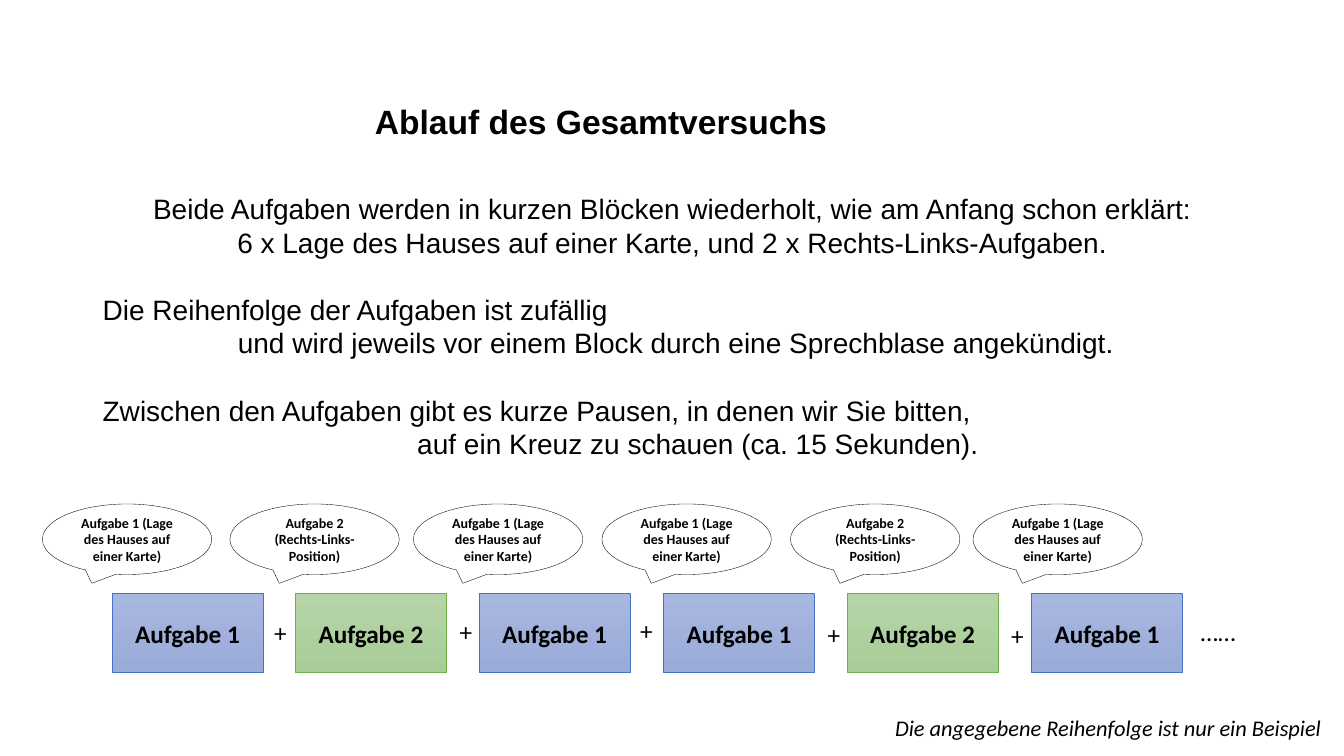
"""Build the slide that explains the order of the tasks in the experiment."""
from typing import NamedTuple

from pptx import Presentation
from pptx import util as u
from pptx.dml.color import RGBColor
from pptx.enum import shapes, text

PX = 9144
CENTER = text.PP_ALIGN.CENTER
LEFT = text.PP_ALIGN.LEFT


class Task(NamedTuple):
    """A kind of task with its bubble text and colours."""

    name: str
    announcement: str
    top_color: str
    bottom_color: str
    line_color: str


class Step(NamedTuple):
    """One block in the sequence, with its speech bubble."""

    task: Task
    bubble_left: int


class Label(NamedTuple):
    """A short text between or after the blocks."""

    content: str
    left: int
    top: int
    width: int


class Statement(NamedTuple):
    """A body paragraph; hanging is the indent of its second line."""

    content: str
    align: text.PP_ALIGN
    hanging: int


MAP_TASK = Task("Aufgabe 1", "Aufgabe 1 (Lage des Hauses auf einer Karte)", "A8B7DF", "9AABD9", "4472C4")
SIDE_TASK = Task("Aufgabe 2", "Aufgabe 2 (Rechts-Links-Position)", "B5D4A7", "A9CD99", "70AD47")

STEPS = [
    Step(MAP_TASK, 42),
    Step(SIDE_TASK, 228),
    Step(MAP_TASK, 410),
    Step(MAP_TASK, 597),
    Step(SIDE_TASK, 784),
    Step(MAP_TASK, 965),
]

LABELS = [
    Label("+", 262, 608, 31),
    Label("+", 446, 607, 31),
    Label("+", 625, 606, 31),
    Label("+", 811, 609, 31),
    Label("+", 993, 610, 31),
    Label("……", 1181, 607, 92),
]

STATEMENTS = [
    Statement(
        "Beide Aufgaben werden in kurzen Blöcken wiederholt, wie am Anfang schon erklärt:\n"
        "6 x Lage des Hauses auf einer Karte, und 2 x Rechts-Links-Aufgaben.",
        CENTER, 0,
    ),
    Statement(
        "Die Reihenfolge der Aufgaben ist zufällig\n"
        "und wird jeweils vor einem Block durch eine Sprechblase angekündigt.",
        LEFT, 134,
    ),
    Statement(
        "Zwischen den Aufgaben gibt es kurze Pausen, in denen wir Sie bitten,\n"
        "auf ein Kreuz zu schauen (ca. 15 Sekunden).",
        LEFT, 312,
    ),
]


def px(*lengths: int) -> list[int]:
    """Turn px into EMU."""
    return [length * PX for length in lengths]


def color(value: str) -> RGBColor:
    """Turn a hex string into a colour."""
    return RGBColor.from_string(value)


def write(paragraph, content: str, *, size: int, font: str = "Calibri", bold: bool = False,
          italic: bool = False, align: text.PP_ALIGN = LEFT) -> None:
    """Fill a paragraph with formatted text."""
    paragraph.text = content
    paragraph.alignment = align
    for run in paragraph.runs:
        run.font.size = u.Pt(size)
        run.font.name = font
        run.font.bold = bold
        run.font.italic = italic
        run.font.color.rgb = color("000000")


def add_box(slide, left: int, top: int, width: int, height: int, wrap: bool = True):
    """Add a text box and return its text frame."""
    frame = slide.shapes.add_textbox(*px(left, top, width, height)).text_frame
    frame.word_wrap = wrap
    return frame


def add_figure(slide, kind: shapes.MSO_SHAPE, left: int, top: int, width: int, height: int,
               content: str, size: int, line_color: str, line_width: float):
    """Add an outlined shape with centred bold text."""
    shape = slide.shapes.add_shape(kind, *px(left, top, width, height))
    shape.shadow.inherit = False
    shape.line.color.rgb = color(line_color)
    shape.line.width = u.Pt(line_width)
    shape.text_frame.word_wrap = True
    shape.text_frame.vertical_anchor = text.MSO_ANCHOR.MIDDLE
    write(shape.text_frame.paragraphs[0], content, size=size, bold=True, align=CENTER)
    return shape


def add_title(slide) -> None:
    """Place and format the title."""
    title = slide.shapes.title
    title.left, title.top, title.width, title.height = px(81, 95, 1030, 50)
    title.text_frame.vertical_anchor = text.MSO_ANCHOR.MIDDLE
    write(title.text_frame.paragraphs[0], "Ablauf des Gesamtversuchs", size=24, font="Arial",
          bold=True, align=CENTER)


def add_statements(slide) -> None:
    """Add the explanation above the sequence."""
    frame = add_box(slide, 92, 185, 1150, 538)
    for index, statement in enumerate(STATEMENTS):
        paragraph = frame.add_paragraph() if index else frame.paragraphs[0]
        write(paragraph, statement.content, size=20, font="Arial", align=statement.align)
        paragraph.line_spacing = u.Pt(24)
        if index:
            paragraph.space_before = u.Pt(24)
        if statement.hanging:
            properties = paragraph._p.get_or_add_pPr()
            properties.set("marL", str(statement.hanging * PX))
            properties.set("indent", str(-statement.hanging * PX))


def add_sequence(slide) -> None:
    """Add the blocks, their bubbles and the signs between them."""
    for index, (task, bubble_left) in enumerate(STEPS):
        block = add_figure(slide, shapes.MSO_SHAPE.RECTANGLE, 111 + index * 912 // 5, 589, 150, 78,
                           task.name, 18, task.line_color, 0.5)
        block.fill.gradient()
        block.fill.gradient_angle = 270
        for stop, value in zip(block.fill.gradient_stops, (task.top_color, task.bottom_color)):
            stop.color.rgb = color(value)
        bubble = add_figure(slide, shapes.MSO_SHAPE.OVAL_CALLOUT, bubble_left, 500, 168, 70,
                            task.announcement, 10, "000000", 0.25)
        bubble.fill.solid()
        bubble.fill.fore_color.rgb = color("FFFFFF")
    for label in LABELS:
        frame = add_box(slide, label.left, label.top, label.width, 40)
        write(frame.paragraphs[0], label.content, size=18)


def main() -> None:
    """Build and save the presentation."""
    presentation = Presentation()
    presentation.slide_width, presentation.slide_height = px(1333, 750)
    slide = presentation.slides.add_slide(presentation.slide_layouts[5])
    add_title(slide)
    add_statements(slide)
    add_sequence(slide)
    footnote = add_box(slide, 878, 704, 464, 37, wrap=False)
    write(footnote.paragraphs[0], "Die angegebene Reihenfolge ist nur ein Beispiel", size=16, italic=True)
    presentation.save("out.pptx")


if __name__ == "__main__":
    main()
